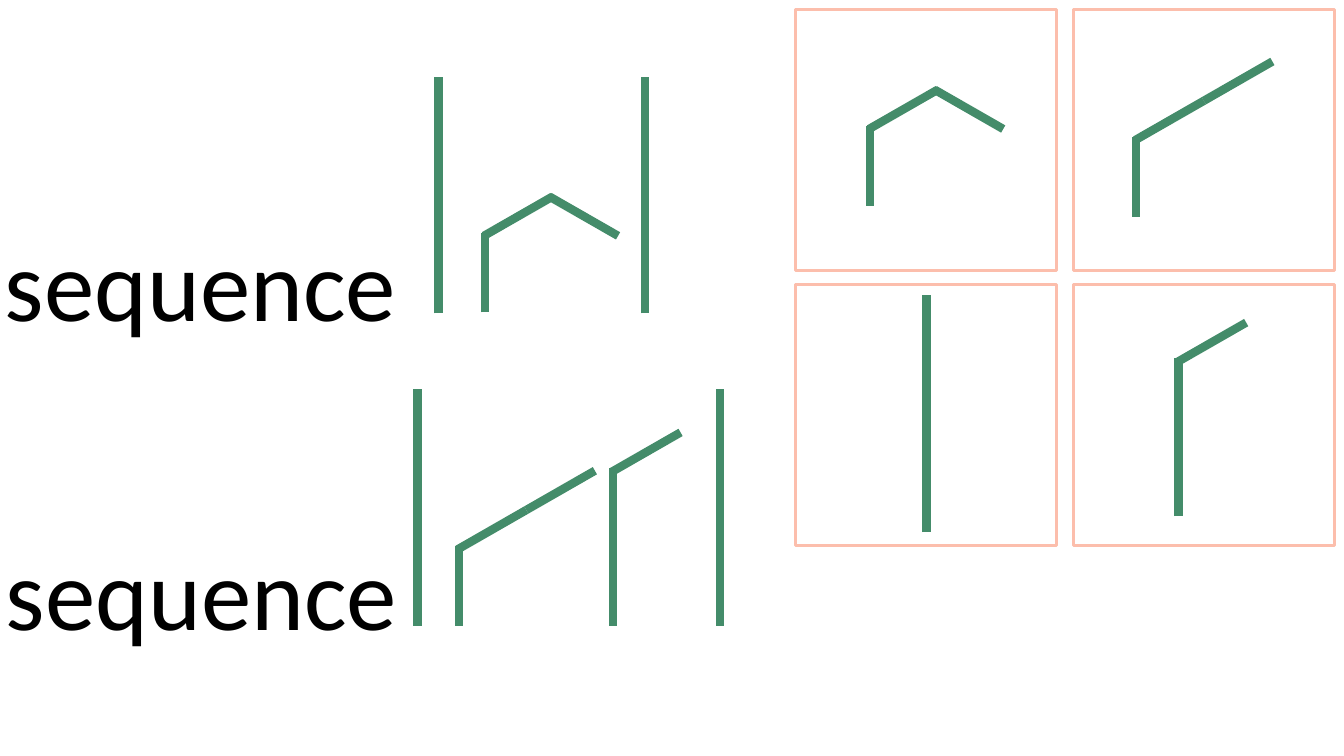
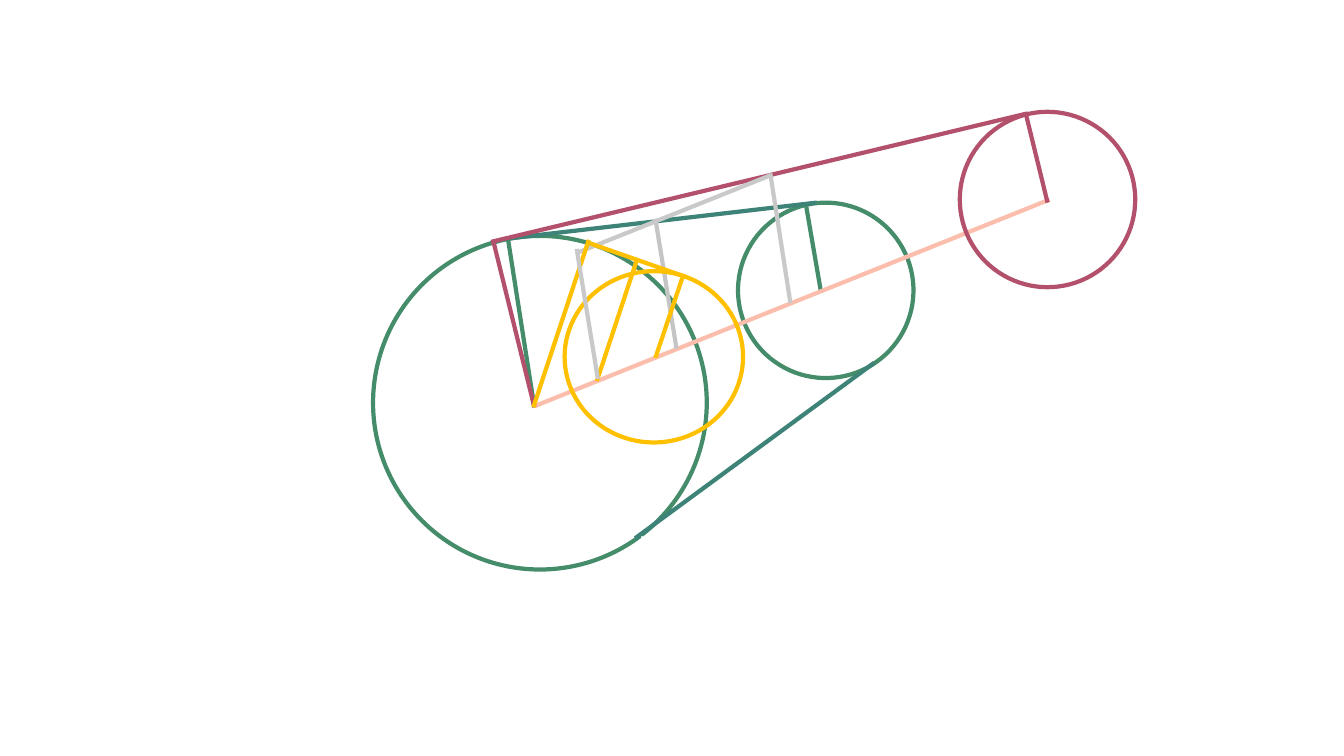
from dataclasses import dataclass
from itertools import product

from lxml import etree
from pptx import Presentation
from pptx.dml.color import RGBColor
from pptx.enum.shapes import MSO_CONNECTOR as Connector, MSO_SHAPE as Shape
from pptx.enum.text import MSO_AUTO_SIZE as AutoSize
from pptx.oxml.ns import qn
from pptx.util import Inches, Pt


@dataclass(frozen=True)
class Theme:
    font: str = "Calibri"
    label_size: float = 72
    stroke_width: float = 6
    frame_width: float = 2.25
    drawing_width: float = 3
    black: str = "000000"
    green: str = "448C6A"
    teal: str = "3D8377"
    peach: str = "FCBEAC"
    plum: str = "B3516D"
    gold: str = "FFC000"
    gray: str = "C9C9C9"
    dark_gray: str = "C5C5C5"


THEME = Theme()

# Strokes as (start, end) offsets from the foot of a glyph
UPRIGHTS = [((0, -0.78 * step), (0, -0.78 * step - 0.79)) for step in range(3)]
LOW_RISE = ((-0.01, -0.76), (0.67, -1.15))
STEEP_RISE = ((0.67, -1.15), (1.35, -1.54))
HIGH_RISE = ((-0.01, -1.53), (0.67, -1.92))
FALL = ((1.32, -0.76), (0.64, -1.15))

TALL = UPRIGHTS
HOOK = UPRIGHTS[:2] + [HIGH_RISE]
ROOF = UPRIGHTS[:1] + [LOW_RISE, FALL]
RAMP = UPRIGHTS[:1] + [LOW_RISE, STEEP_RISE]

GLYPHS = [
    (TALL, 4.35, 3.11), (ROOF, 4.81, 3.1), (TALL, 6.4, 3.11),
    (TALL, 4.14, 6.21), (RAMP, 4.55, 6.21), (HOOK, 6.08, 6.21), (TALL, 7.14, 6.21),
    (ROOF, 8.63, 2.04), (RAMP, 11.27, 2.15),
    (TALL, 9.19, 5.28), (HOOK, 11.69, 5.12),
]


def set_line(line, color, width):
    line.color.rgb = RGBColor.from_string(color)
    line.width = Pt(width)


def add_line(shapes, start, end, color, width=THEME.drawing_width):
    points = [Inches(value) for value in (*start, *end)]
    connector = shapes.add_connector(Connector.STRAIGHT, *points)
    set_line(connector.line, color, width)
    etree.SubElement(connector._element.spPr, qn("a:effectLst"))


def add_outline(shapes, kind, left, top, width, height, color,
                line_width=THEME.drawing_width, rotation=0, adjustments=()):
    """Add an unfilled preset shape."""
    shape = shapes.add_shape(kind, *map(Inches, (left, top, width, height)))
    shape.shadow.inherit = False
    shape.fill.background()
    set_line(shape.line, color, line_width)
    shape.rotation = rotation
    for index, value in enumerate(adjustments):
        shape.adjustments[index] = value


def add_text(shapes, text, left, top, width, height, *, size=THEME.label_size,
             color=THEME.black, font=THEME.font):
    box = shapes.add_textbox(*map(Inches, (left, top, width, height)))
    frame = box.text_frame
    frame.word_wrap = False
    frame.auto_size = AutoSize.SHAPE_TO_FIT_TEXT
    run = frame.paragraphs[0].add_run()
    run.text = text
    run.font.name = font
    run.font.size = Pt(size)
    run.font.color.rgb = RGBColor.from_string(color)


def add_glyph(shapes, strokes, x, y):
    """Group the strokes of a glyph whose foot stands at (x, y)."""
    group = shapes.add_group_shape()
    for start, end in strokes:
        add_line(group.shapes, (x + start[0], y + start[1]),
                 (x + end[0], y + end[1]), THEME.green, THEME.stroke_width)


def add_circle(shapes, left, top, size, color, rotation, sweep):
    """Add an arc that runs almost all the way round."""
    add_outline(shapes, Shape.ARC, left, top, size, size, color,
                rotation=rotation, adjustments=sweep)


def build_sequences(slide):
    shapes = slide.shapes
    for column, row in product(range(2), repeat=2):
        add_outline(shapes, Shape.RECTANGLE, 7.89 + 2.76 * column, 0.09 + 2.73 * row,
                    2.59, 2.59, THEME.peach, THEME.frame_width)
    for left, top in ((-0.05, 2.14), (-0.04, 5.21)):
        add_text(shapes, "sequence", left, top, 4.13, 1.31)
    for strokes, x, y in GLYPHS:
        add_glyph(shapes, strokes, x, y)


def build_tangents(slide):
    shapes = slide.shapes
    small_sweep = (112.484, 112.441)
    add_circle(shapes, 3.7, 2.34, 3.31, THEME.green, 230.5, (109.566, 109.148))
    add_circle(shapes, 7.32, 2.01, 1.74, THEME.green, 230.5, small_sweep)
    for start, end, color in (
        ((5.04, 2.38), (5.3, 4.04), THEME.green),
        ((7.99, 2.01), (8.14, 2.88), THEME.green),
        ((5.3, 4.03), (10.41, 1.98), THEME.peach),
        ((5.01, 2.37), (8.1, 2.01), THEME.teal),
        ((6.3, 5.34), (8.67, 3.6), THEME.teal),
    ):
        add_line(shapes, start, end, color)

    add_circle(shapes, 9.52, 1.11, 1.74, THEME.plum, 0, small_sweep)
    for start, end, color in (
        ((4.87, 2.4), (10.17, 1.13), THEME.plum),
        ((10.17, 1.11), (10.39, 2.01), THEME.plum),
        ((4.89, 2.38), (5.3, 4.04), THEME.plum),
        ((6.5, 2.17), (6.71, 3.46), THEME.dark_gray),
        ((7.64, 1.72), (7.84, 3.01), THEME.gray),
        ((5.72, 2.51), (7.64, 1.74), THEME.gray),
    ):
        add_line(shapes, start, end, color)

    add_outline(shapes, Shape.OVAL, 5.6, 2.69, 1.77, 1.7, THEME.gold)
    for start, end, color in (
        ((5.84, 2.41), (6.81, 2.75), THEME.gold),
        ((6.78, 2.72), (6.5, 3.55), THEME.gold),
        ((5.84, 2.38), (5.29, 4.04), THEME.gold),
        ((6.32, 2.57), (5.92, 3.78), THEME.gold),
        ((5.72, 2.47), (5.93, 3.76), THEME.gray),
    ):
        add_line(shapes, start, end, color)


def main():
    presentation = Presentation()
    presentation.slide_width = Inches(13.33)
    presentation.slide_height = Inches(7.5)
    blank_layout = presentation.slide_layouts[6]
    for build in (build_sequences, build_tangents):
        build(presentation.slides.add_slide(blank_layout))
    presentation.save("out.pptx")


if __name__ == "__main__":
    main()
